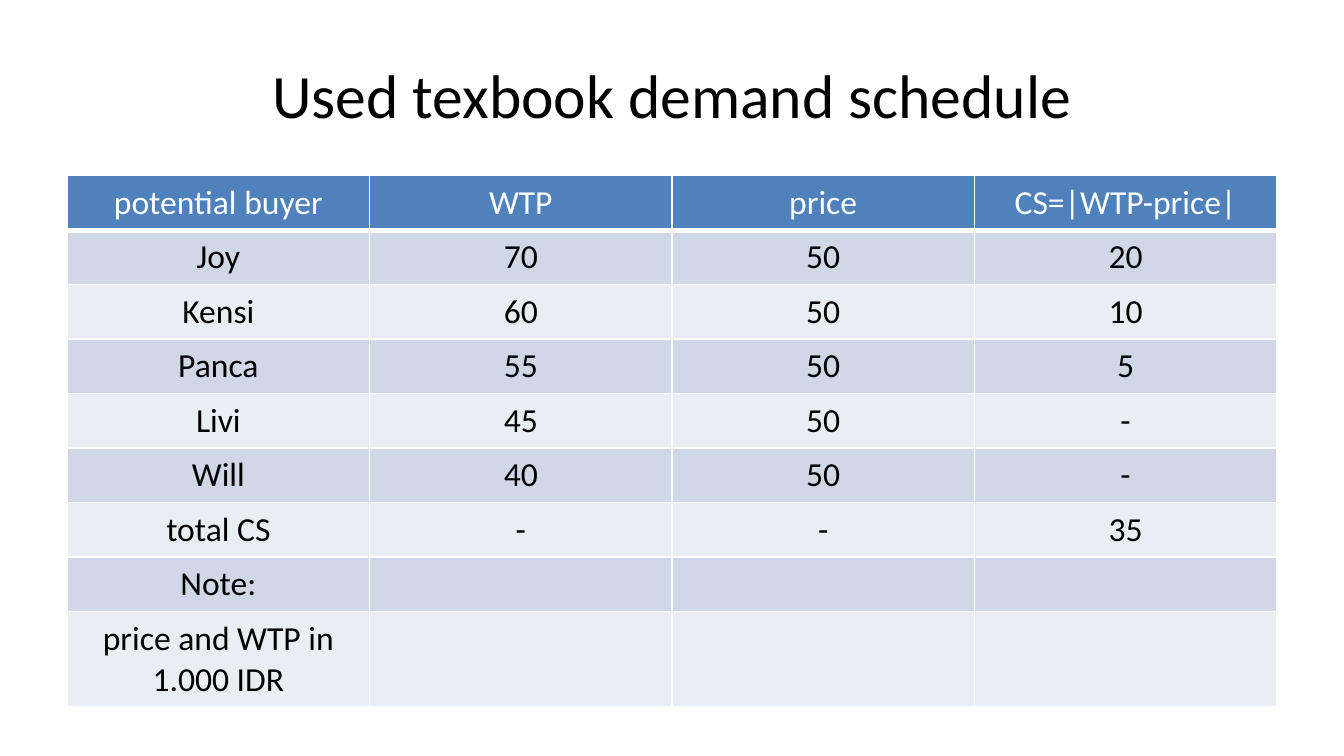
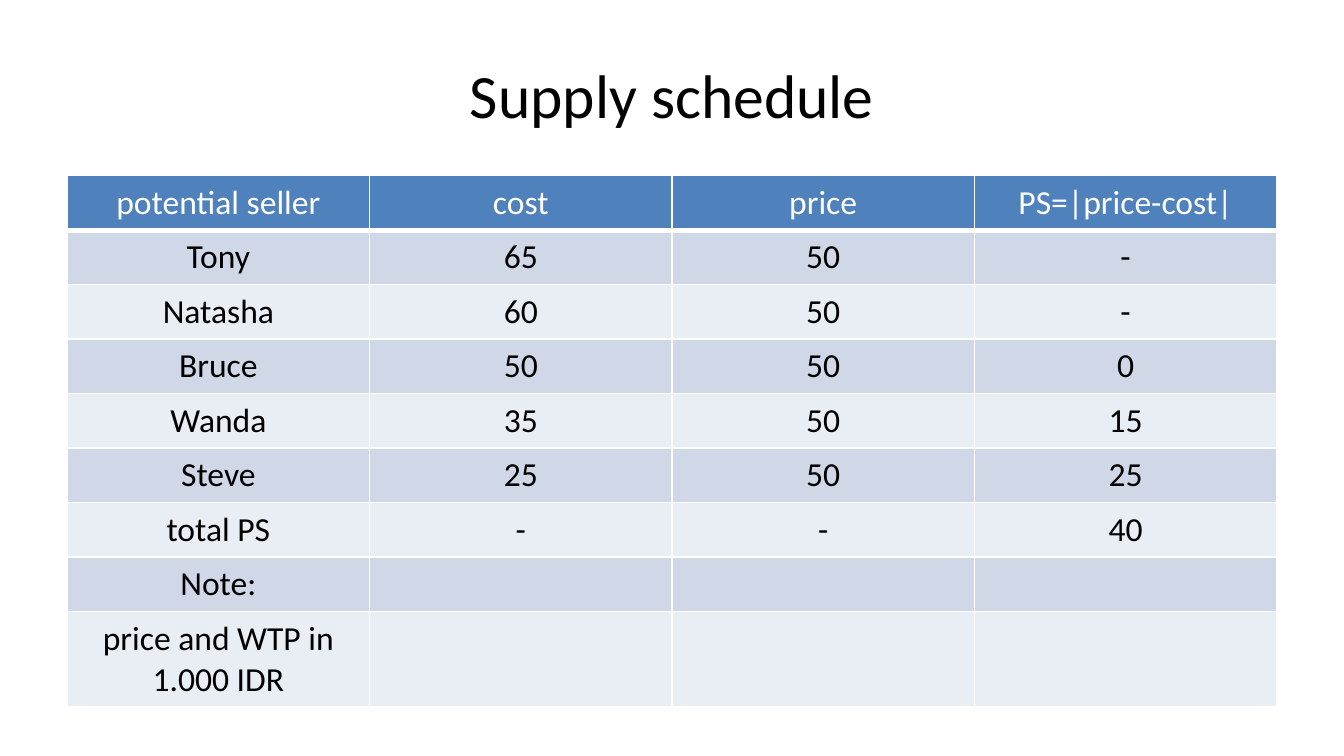
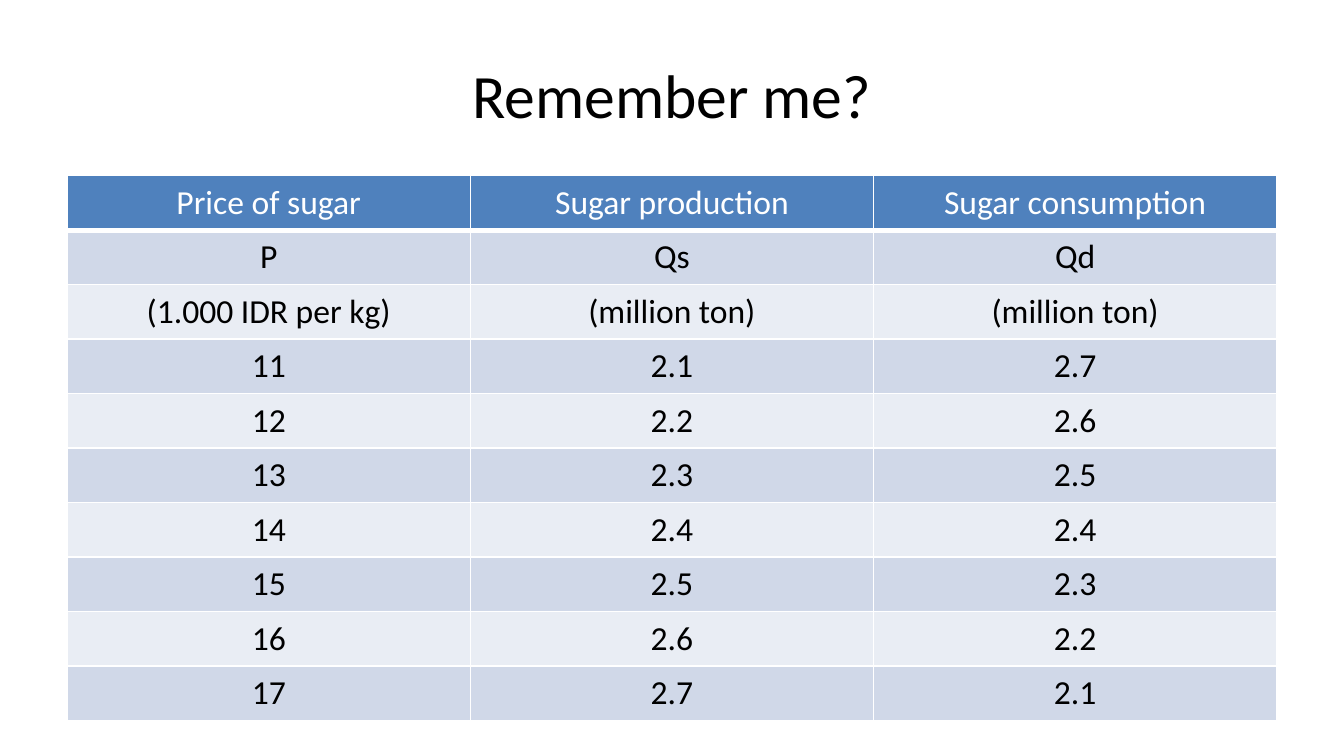
from lxml import etree
from pptx import Presentation
from pptx.dml.color import RGBColor
from pptx.enum.text import MSO_ANCHOR, PP_ALIGN
from pptx.oxml.ns import qn
from pptx.util import Cm, Pt

CENTER = PP_ALIGN.CENTER
MIDDLE = MSO_ANCHOR.MIDDLE

FONT = "Calibri"
BLACK = "000000"
WHITE = "FFFFFF"
HEADER_BLUE = "4F81BD"
BANDS = ["E9EDF4", "D0D8E8"]  # even rows, odd rows

MARGIN = 1.27
CONTENT_WIDTH = 22.86
TABLE_TOP = 3.32
ROW_HEIGHT = 1.03
NOTE_HEIGHT = 1.8
NOTE = "price and WTP in 1.000 IDR"

SCHEDULES = [
    ("Used texbook demand schedule", [
        ["potential buyer", "WTP", "price", "CS=|WTP-price|"],
        ["Joy", "70", "50", "20"],
        ["Kensi", "60", "50", "10"],
        ["Panca", "55", "50", "5"],
        ["Livi", "45", "50", "-"],
        ["Will", "40", "50", "-"],
        ["total CS", "-", "-", "35"],
        ["Note:", "", "", ""],
        [NOTE, "", "", ""],
    ]),
    ("Supply schedule", [
        ["potential seller", "cost", "price", "PS=|price-cost|"],
        ["Tony", "65", "50", "-"],
        ["Natasha", "60", "50", "-"],
        ["Bruce", "50", "50", "0"],
        ["Wanda", "35", "50", "15"],
        ["Steve", "25", "50", "25"],
        ["total PS", "-", "-", "40"],
        ["Note:", "", "", ""],
        [NOTE, "", "", ""],
    ]),
    ("Remember me?", [
        ["Price of sugar", "Sugar production", "Sugar consumption"],
        ["P", "Qs", "Qd"],
        ["(1.000 IDR per kg)", "(million ton)", "(million ton)"],
        ["11", "2.1", "2.7"],
        ["12", "2.2", "2.6"],
        ["13", "2.3", "2.5"],
        ["14", "2.4", "2.4"],
        ["15", "2.5", "2.3"],
        ["16", "2.6", "2.2"],
        ["17", "2.7", "2.1"],
    ]),
]


def write_centered(text_frame, text, size, color):
    paragraph = text_frame.paragraphs[0]
    paragraph.alignment = CENTER
    if text:
        run = paragraph.add_run()
        run.text = text
        run.font.name = FONT
        run.font.size = Pt(size)
        run.font.bold = False
        run.font.color.rgb = RGBColor.from_string(color)


def add_borders(cell, bottom_width):
    """Draw white 1 pt cell edges, with a bottom edge of the given points."""
    properties = cell._tc.get_or_add_tcPr()
    for edge, width in (("L", 1), ("R", 1), ("T", 1), ("B", bottom_width)):
        line = etree.SubElement(properties, qn(f"a:ln{edge}"), w=str(Pt(width)))
        fill = etree.SubElement(line, qn("a:solidFill"))
        etree.SubElement(fill, qn("a:srgbClr"), val=WHITE)


prs = Presentation()
prs.slide_width = Cm(25.4)
prs.slide_height = Cm(14.29)
blank = prs.slide_layouts[6]

for title, schedule in SCHEDULES:
    slide = prs.slides.add_slide(blank)

    heading = slide.shapes.add_textbox(
        Cm(MARGIN), Cm(0.58), Cm(CONTENT_WIDTH), Cm(2.38)).text_frame
    heading.word_wrap = True
    heading.vertical_anchor = MIDDLE
    write_centered(heading, title, 33, BLACK)

    column_count = len(schedule[0])
    table = slide.shapes.add_table(
        len(schedule), column_count, Cm(MARGIN), Cm(TABLE_TOP),
        Cm(CONTENT_WIDTH), Cm(ROW_HEIGHT * len(schedule))).table
    for column in table.columns:
        column.width = Cm(CONTENT_WIDTH / column_count)

    for row_index, entries in enumerate(schedule):
        is_header = row_index == 0
        is_note = entries[0] == NOTE
        table.rows[row_index].height = Cm(NOTE_HEIGHT if is_note else ROW_HEIGHT)
        for column_index, entry in enumerate(entries):
            cell = table.cell(row_index, column_index)
            add_borders(cell, 3 if is_header else 1)
            cell.fill.solid()
            cell.fill.fore_color.rgb = RGBColor.from_string(
                HEADER_BLUE if is_header else BANDS[row_index % 2])
            write_centered(cell.text_frame, entry, 18, WHITE if is_header else BLACK)

prs.save("out.pptx")
